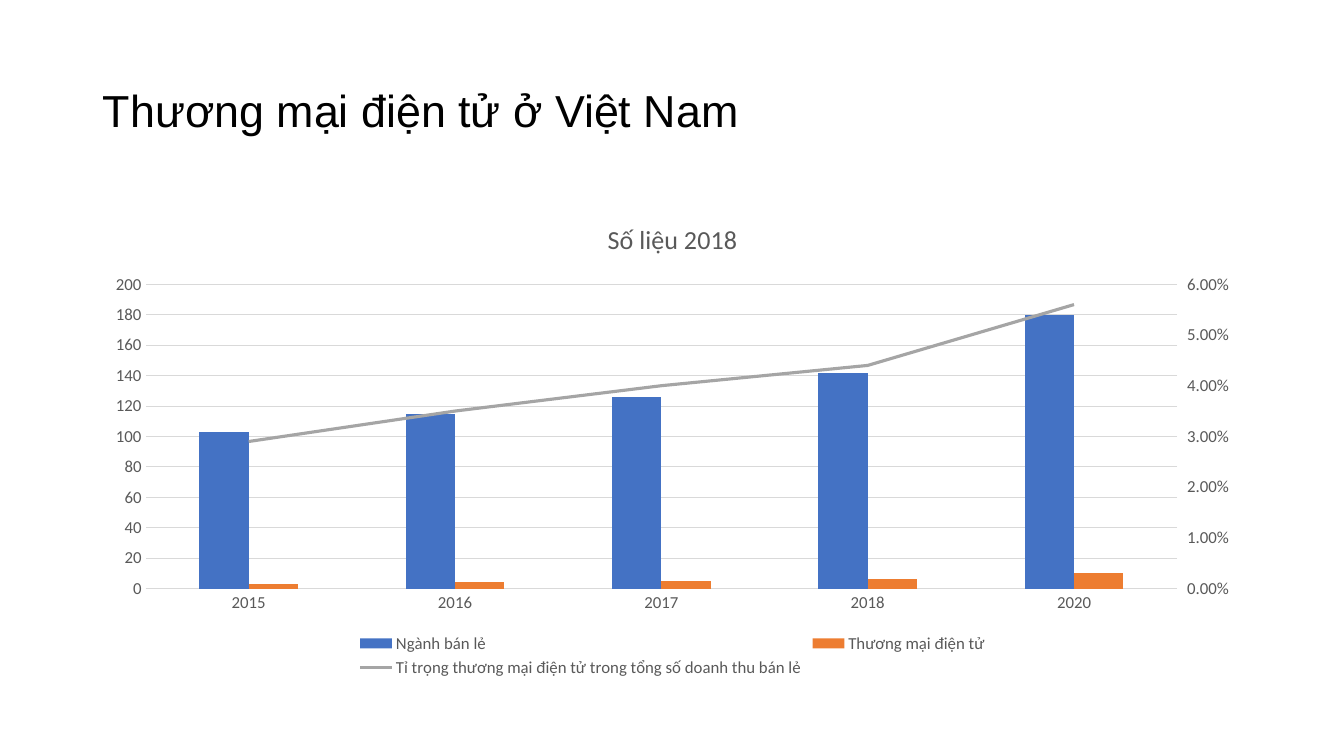
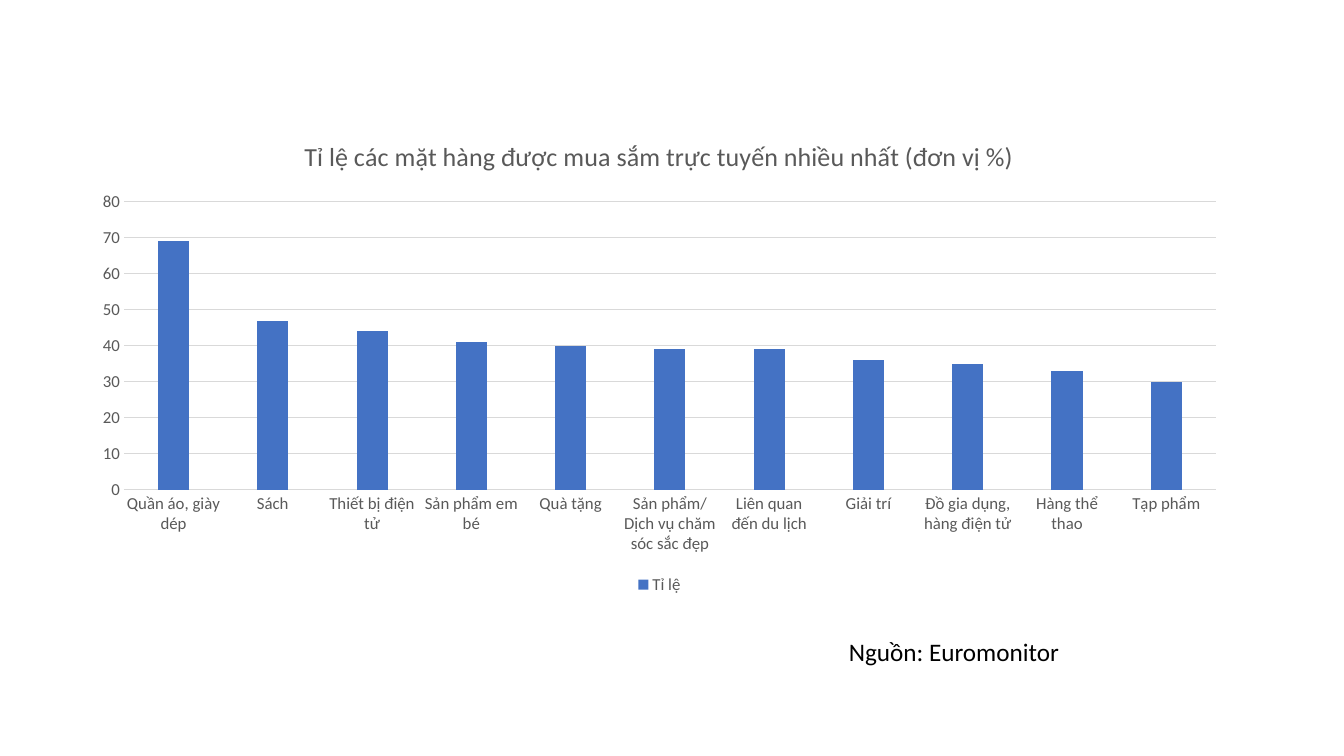
"""Build two slides about e-commerce in Vietnam, each with an editable chart."""
from dataclasses import dataclass
from typing import Optional

import pptx
import pptx.chart.axis
import pptx.chart.data
import pptx.dml.color
import pptx.enum.chart
import pptx.enum.text
import pptx.oxml
import pptx.oxml.ns
import pptx.util
from pptx.util import Inches

COLORS = {
    "text": "000000",
    "chart_text": "595959",
    "grid": "D9D9D9",
    "blue": "4472C4",
    "orange": "ED7D31",
    "gray": "A5A5A5",
}
TITLE_FONT = "Arial"
BODY_FONT = "Calibri"
TITLE_ONLY_LAYOUT = 5
BLANK_LAYOUT = 6
CHART_WIDTH = 11.5
CHART_HEIGHT = 4.76

SECONDARY_AXIS_IDS = {"category": "50010", "value": "50020"}
LINE_CHART_XML = (
    '<c:lineChart {ns}><c:grouping val="standard"/><c:varyColors val="0"/>'
    '<c:marker val="1"/><c:axId val="{category}"/><c:axId val="{value}"/></c:lineChart>'
)
RIGHT_AXIS_XML = (
    '<c:valAx {ns}><c:axId val="{value}"/>'
    '<c:scaling><c:orientation val="minMax"/></c:scaling><c:delete val="0"/>'
    '<c:axPos val="r"/><c:majorTickMark val="out"/><c:minorTickMark val="none"/>'
    '<c:tickLblPos val="nextTo"/><c:crossAx val="{category}"/><c:crosses val="max"/>'
    '<c:crossBetween val="between"/></c:valAx>'
)
HIDDEN_AXIS_XML = (
    '<c:catAx {ns}><c:axId val="{category}"/>'
    '<c:scaling><c:orientation val="minMax"/></c:scaling><c:delete val="1"/>'
    '<c:axPos val="b"/><c:majorTickMark val="none"/><c:minorTickMark val="none"/>'
    '<c:tickLblPos val="nextTo"/><c:crossAx val="{value}"/><c:crosses val="autoZero"/>'
    '</c:catAx>'
)


@dataclass(frozen=True)
class Series:
    name: str
    values: tuple[float, ...]
    color: str
    number_format: str = "General"


@dataclass(frozen=True)
class ColumnChart:
    title: str
    left: float
    top: float
    categories: tuple[str, ...]
    columns: tuple[Series, ...]
    maximum: float
    unit: float
    overlap: int = 0
    line: Optional[Series] = None
    line_maximum: float = 0.06
    line_unit: float = 0.01


RETAIL_CHART = ColumnChart(
    title="Số liệu 2018",
    left=0.92,
    top=2,
    categories=("2015", "2016", "2017", "2018", "2020"),
    columns=(
        Series("Ngành bán lẻ", (103, 115, 126, 142, 180), "blue"),
        Series("Thương mại điện tử", (3, 4, 5, 6, 10), "orange"),
    ),
    maximum=200,
    unit=20,
    line=Series(
        "Tỉ trọng thương mại điện tử trong tổng số doanh thu bán lẻ",
        (0.029, 0.035, 0.04, 0.044, 0.056),
        "gray",
        "0.00%",
    ),
)
PRODUCT_CHART = ColumnChart(
    title="Tỉ lệ các mặt hàng được mua sắm trực tuyến nhiều nhất (đơn vị %)",
    left=0.79,
    top=1.18,
    categories=(
        "Quần áo, giày dép",
        "Sách",
        "Thiết bị điện tử",
        "Sản phẩm em bé",
        "Quà tặng",
        "Sản phẩm/Dịch vụ chăm sóc sắc đẹp",
        "Liên quan đến du lịch",
        "Giải trí",
        "Đồ gia dụng, hàng điện tử",
        "Hàng thể thao",
        "Tạp phẩm",
    ),
    columns=(Series("Tỉ lệ", (69, 47, 44, 41, 40, 39, 39, 36, 35, 33, 30), "blue"),),
    maximum=80,
    unit=10,
    overlap=-27,
)


def rgb(name: str) -> pptx.dml.color.RGBColor:
    return pptx.dml.color.RGBColor.from_string(COLORS[name])


def style_font(font, size: float, color: str, name: str = BODY_FONT) -> None:
    font.name = name
    font.size = pptx.util.Pt(size)
    font.bold = False
    font.color.rgb = rgb(color)


def style_line(line, color: str, width: float) -> None:
    line.color.rgb = rgb(color)
    line.width = pptx.util.Pt(width)


def style_value_axis(axis, maximum: float, unit: float, number_format: str) -> None:
    axis.minimum_scale = 0
    axis.maximum_scale = maximum
    axis.major_unit = unit
    axis.tick_labels.number_format = number_format
    axis.tick_labels.number_format_is_linked = False
    axis.format.line.fill.background()
    style_font(axis.tick_labels.font, 12, "chart_text")


def move_last_series_to_line(chart, content: ColumnChart) -> None:
    names = {"ns": pptx.oxml.ns.nsdecls("c"), **SECONDARY_AXIS_IDS}
    line_chart, right_axis, hidden_axis = (
        pptx.oxml.parse_xml(template.format(**names))
        for template in (LINE_CHART_XML, RIGHT_AXIS_XML, HIDDEN_AXIS_XML)
    )
    qualified = pptx.oxml.ns.qn
    bar_series = chart.plots[0].series[len(content.columns)]
    series_element = bar_series.format.line and bar_series._element
    bar_chart = series_element.getparent()
    plot_area = bar_chart.getparent()
    for element in series_element.findall(qualified("c:invertIfNegative")):
        series_element.remove(element)
    line_chart.insert(2, series_element)
    bar_chart.addnext(line_chart)
    last_axis = plot_area.findall(qualified("c:valAx"))[-1]
    last_axis.addnext(right_axis)
    right_axis.addnext(hidden_axis)

    series = chart.plots[1].series[0]
    series.smooth = False
    series.marker.style = pptx.enum.chart.XL_MARKER_STYLE.NONE
    style_line(series.format.line, content.line.color, 2.25)
    style_value_axis(
        pptx.chart.axis.ValueAxis(right_axis),
        content.line_maximum,
        content.line_unit,
        content.line.number_format,
    )


def add_column_chart(slide, content: ColumnChart) -> None:
    data = pptx.chart.data.CategoryChartData()
    data.categories = content.categories
    for series in content.columns + ((content.line,) if content.line else ()):
        data.add_series(series.name, series.values, series.number_format)
    chart = slide.shapes.add_chart(
        pptx.enum.chart.XL_CHART_TYPE.COLUMN_CLUSTERED,
        Inches(content.left),
        Inches(content.top),
        Inches(CHART_WIDTH),
        Inches(CHART_HEIGHT),
        data,
    ).chart
    style_font(chart.font, 10, "text")

    chart.has_title = True
    title_frame = chart.chart_title.text_frame
    title_frame.text = content.title
    style_font(title_frame.paragraphs[0].font, 18.6, "chart_text")

    chart.has_legend = True
    chart.legend.position = pptx.enum.chart.XL_LEGEND_POSITION.BOTTOM
    chart.legend.include_in_layout = False
    style_font(chart.legend.font, 12, "chart_text")

    no_tick = pptx.enum.chart.XL_TICK_MARK.NONE
    category_axis, value_axis = chart.category_axis, chart.value_axis
    category_axis.major_tick_mark = no_tick
    style_line(category_axis.format.line, "grid", 0.75)
    style_font(category_axis.tick_labels.font, 12, "chart_text")
    value_axis.major_tick_mark = no_tick
    style_line(value_axis.major_gridlines.format.line, "grid", 0.75)
    style_value_axis(value_axis, content.maximum, content.unit, "General")

    plot = chart.plots[0]
    plot.gap_width = 219
    plot.overlap = content.overlap
    plot.vary_by_categories = False
    if content.line:
        move_last_series_to_line(chart, content)
    for series, column in zip(plot.series, content.columns):
        series.invert_if_negative = False
        series.format.fill.solid()
        series.format.fill.fore_color.rgb = rgb(column.color)


def set_title(slide, text: str) -> None:
    title = slide.shapes.title
    title.left, title.top = Inches(0.92), Inches(0.4)
    title.width, title.height = Inches(11.5), Inches(1.45)
    frame = title.text_frame
    frame.text = text
    frame.auto_size = pptx.enum.text.MSO_AUTO_SIZE.NONE
    frame.vertical_anchor = pptx.enum.text.MSO_ANCHOR.MIDDLE
    paragraph = frame.paragraphs[0]
    paragraph.alignment = pptx.enum.text.PP_ALIGN.LEFT
    paragraph.line_spacing = 0.9
    style_font(paragraph.font, 32, "text", TITLE_FONT)


def add_source_note(slide, text: str) -> None:
    note = slide.shapes.add_textbox(Inches(8.32), Inches(6.26), Inches(2.31), Inches(0.4))
    frame = note.text_frame
    frame.text = text
    frame.word_wrap = False
    frame.auto_size = pptx.enum.text.MSO_AUTO_SIZE.SHAPE_TO_FIT_TEXT
    style_font(frame.paragraphs[0].font, 18, "text")


def main() -> None:
    presentation = pptx.Presentation()
    presentation.slide_width = Inches(13.33)
    presentation.slide_height = Inches(7.5)
    layouts = presentation.slide_layouts

    retail_slide = presentation.slides.add_slide(layouts[TITLE_ONLY_LAYOUT])
    set_title(retail_slide, "Thương mại điện tử ở Việt Nam")
    add_column_chart(retail_slide, RETAIL_CHART)

    product_slide = presentation.slides.add_slide(layouts[BLANK_LAYOUT])
    add_column_chart(product_slide, PRODUCT_CHART)
    add_source_note(product_slide, "Nguồn: Euromonitor")

    presentation.save("out.pptx")


if __name__ == "__main__":
    main()
